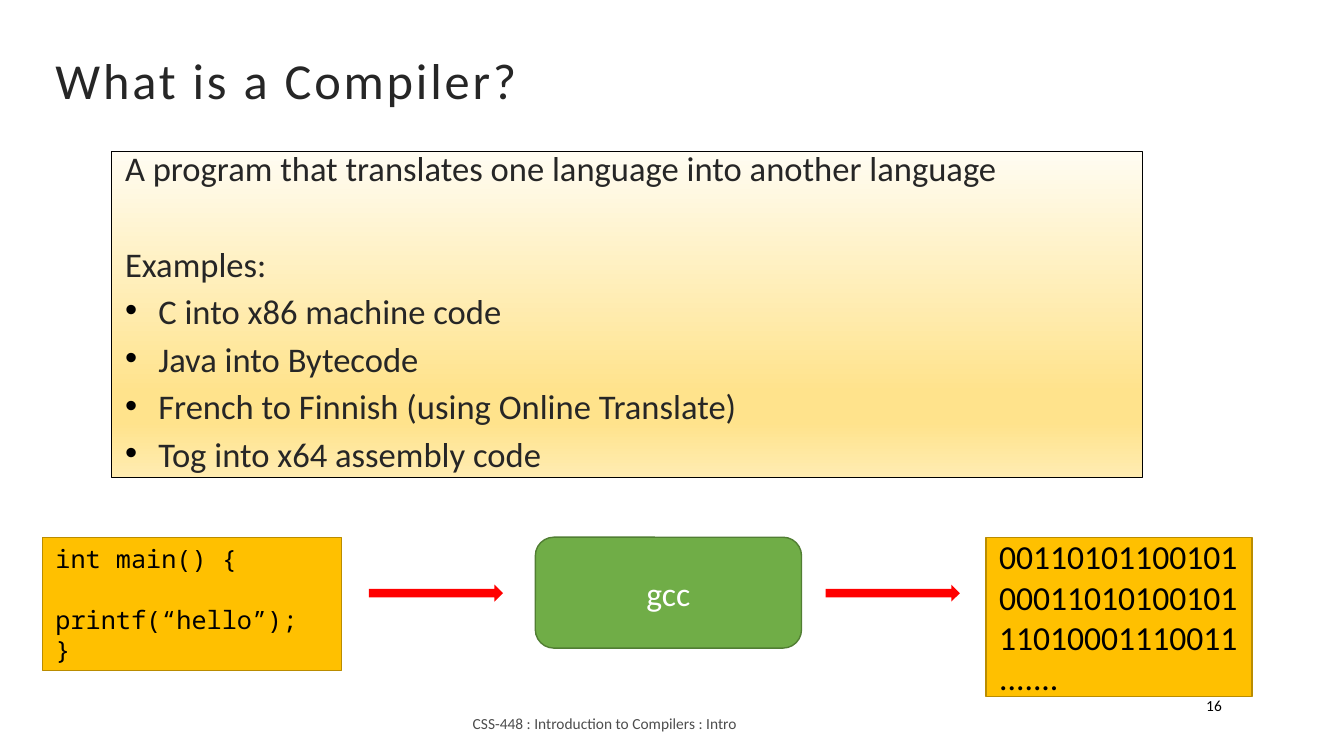
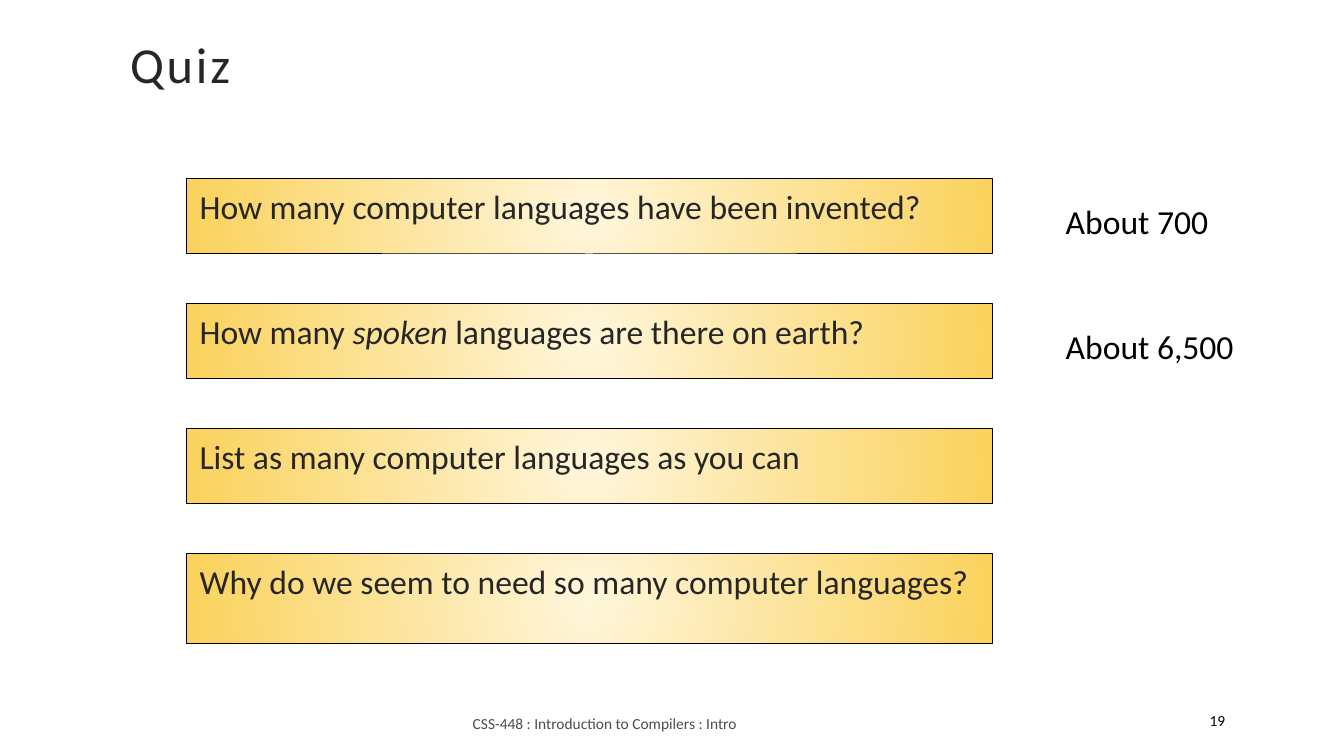
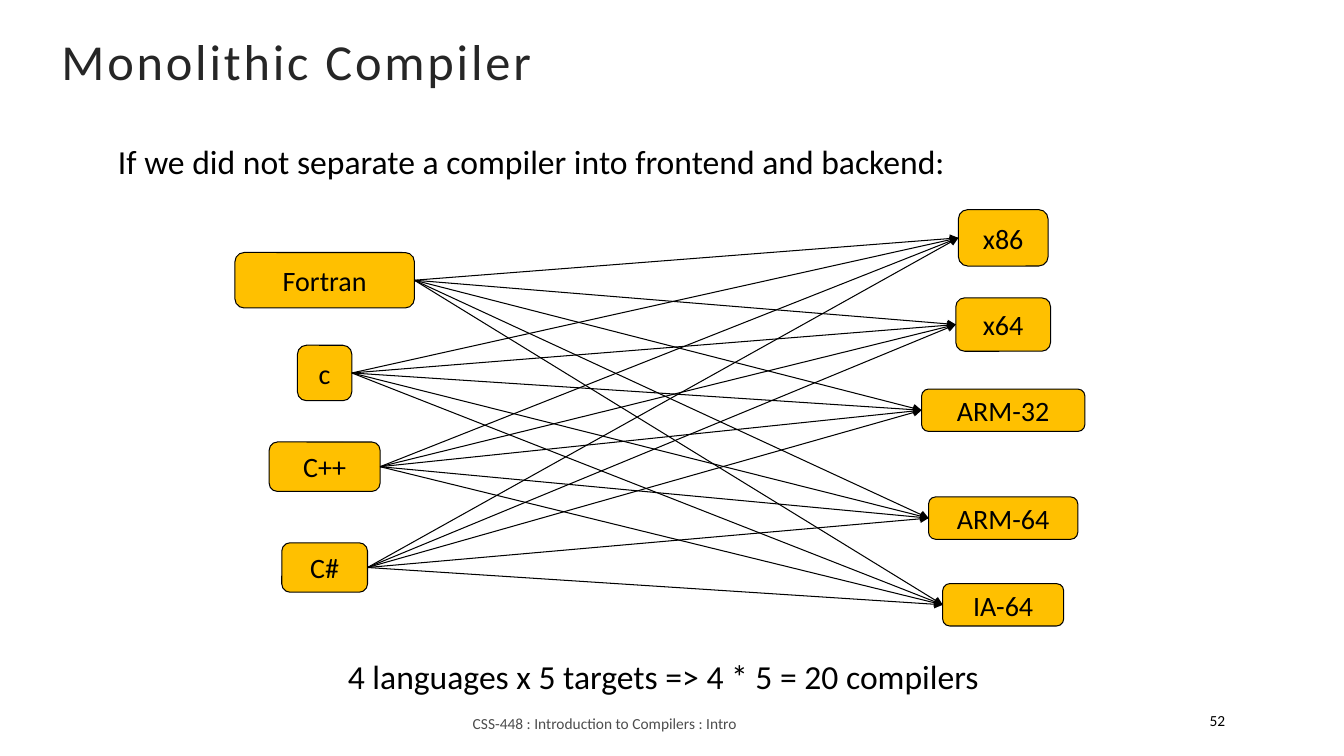
from dataclasses import dataclass
from itertools import product

from pptx import Presentation
from pptx.dml.color import RGBColor
from pptx.enum.shapes import MSO_CONNECTOR, MSO_SHAPE
from pptx.enum.text import MSO_ANCHOR, PP_ALIGN
from pptx.oxml import parse_xml
from pptx.oxml.ns import nsdecls, qn
from pptx.util import Inches, Pt


@dataclass(frozen=True)
class Theme:
    font: str = "Calibri"
    code_font: str = "Noto Sans Mono"
    black: str = "000000"
    white: str = "FFFFFF"
    ink: str = "262626"
    footer_ink: str = "4D4D4D"
    amber: str = "FFC000"
    amber_edge: str = "BA8C00"
    green: str = "70AD47"
    green_edge: str = "517E33"
    red: str = "FF0000"
    title_size: float = 36
    list_size: float = 24.7
    body_size: float = 24
    node_size: float = 20
    code_size: float = 18
    small_size: float = 11


THEME = Theme()
FOOTER = "CSS-448 : Introduction to Compilers : Intro"
INSET = (0.13, 0.07)
SUMMARY_GRADIENT = (
    ((0, "FFFCF2"), (74, "FFE38C"), (83, "FFE38C"), (100, "FFECB2")),
    '<a:lin ang="5400000" scaled="0"/>',
)
QUIZ_GRADIENT = (
    ((0, "FFF6DB"), (100, "FAD25C")),
    '<a:path path="circle"><a:fillToRect l="50000" t="50000" r="50000" b="50000"/></a:path>',
)


# Text
def add_bullet(paragraph):
    properties = paragraph._p.get_or_add_pPr()
    properties.set("marL", str(Inches(0.33)))
    properties.set("indent", str(-Inches(0.33)))
    for markup in (
        f'<a:buClr {nsdecls("a")}><a:srgbClr val="{THEME.black}"/></a:buClr>',
        f'<a:buFont {nsdecls("a")} typeface="Arial"/>',
        f'<a:buChar {nsdecls("a")} char="•"/>',
    ):
        properties.append(parse_xml(markup))


def write(shape, *paragraphs, size=THEME.body_size, color=THEME.black, font=THEME.font,
          align=PP_ALIGN.LEFT, anchor=MSO_ANCHOR.TOP, inset=INSET, line_spacing=None,
          space_before=None, bullets_from=None):
    """Each paragraph is a string or a list of (text, italic) spans."""
    frame = shape.text_frame
    frame.word_wrap = True
    frame.vertical_anchor = anchor
    frame.margin_left = frame.margin_right = Inches(inset[0])
    frame.margin_top = frame.margin_bottom = Inches(inset[1])
    for index, content in enumerate(paragraphs):
        paragraph = frame.add_paragraph() if index else frame.paragraphs[0]
        if bullets_from is not None and index >= bullets_from:
            add_bullet(paragraph)
        paragraph.alignment = align
        if line_spacing:
            paragraph.line_spacing = line_spacing
        if space_before:
            paragraph.space_before = Pt(space_before[index])
        spans = [(content, False)] if isinstance(content, str) else content
        for text, italic in spans:
            span = paragraph.add_run()
            span.text = text
            span.font.name = font
            span.font.size = Pt(size)
            span.font.italic = italic
            span.font.color.rgb = RGBColor.from_string(color)


def add_text(slide, at, *paragraphs, **text_format):
    box = slide.shapes.add_textbox(*map(Inches, at))
    write(box, *paragraphs, **text_format)


# Shapes
def add_box(slide, at, kind=MSO_SHAPE.RECTANGLE, fill=None, edge=None, edge_width=0.75):
    box = slide.shapes.add_shape(kind, *map(Inches, at))
    box.shadow.inherit = False
    if fill:
        box.fill.solid()
        box.fill.fore_color.rgb = RGBColor.from_string(fill)
    else:
        box.fill.background()
    if edge:
        box.line.color.rgb = RGBColor.from_string(edge)
        box.line.width = Pt(edge_width)
    else:
        box.line.fill.background()
    return box


def add_gradient_box(slide, at, gradient):
    box = add_box(slide, at, edge=THEME.black)
    stops, direction = gradient
    stop_markup = "".join(
        f'<a:gs pos="{position * 1000}"><a:srgbClr val="{color}"/></a:gs>'
        for position, color in stops)
    properties = box._element.spPr
    properties.replace(properties.find(qn("a:noFill")), parse_xml(
        f'<a:gradFill {nsdecls("a")} rotWithShape="1">'
        f"<a:gsLst>{stop_markup}</a:gsLst>{direction}</a:gradFill>"))
    return box


def add_node(slide, label, center, middle, width, height):
    at = (center - width / 2, middle - height / 2, width, height)
    node = add_box(slide, at, MSO_SHAPE.ROUNDED_RECTANGLE, THEME.amber, THEME.black)
    write(node, label, size=THEME.node_size, align=PP_ALIGN.CENTER, anchor=MSO_ANCHOR.MIDDLE)
    return node


def connect(slide, source, target):
    arrow = slide.shapes.add_connector(MSO_CONNECTOR.STRAIGHT, 0, 0, 0, 0)
    arrow.begin_connect(source, 3)
    arrow.end_connect(target, 1)
    arrow.line.color.rgb = RGBColor.from_string(THEME.black)
    arrow.line.width = Pt(0.75)
    properties = arrow._element.spPr
    properties.find(qn("a:ln")).append(parse_xml(f'<a:tailEnd {nsdecls("a")} type="triangle"/>'))
    properties.append(parse_xml(f'<a:effectLst {nsdecls("a")}/>'))


# Title, footer and slide number
def add_slide(deck, title, title_at, number, number_at):
    slide = deck.slides.add_slide(deck.slide_layouts.get_by_name("Title Only"))
    heading = slide.shapes.title
    heading.left, heading.top, heading.width, heading.height = map(Inches, title_at)
    write(heading, title, size=THEME.title_size, color=THEME.ink,
          anchor=MSO_ANCHOR.MIDDLE, line_spacing=0.9)
    heading.text_frame.paragraphs[0].runs[0].font._element.set("spc", "200")
    add_text(slide, (4.59, 7, 4.15, 0.35), FOOTER, size=THEME.small_size,
             color=THEME.footer_ink, anchor=MSO_ANCHOR.MIDDLE, inset=(0.1, 0.05))
    write(add_box(slide, number_at, MSO_SHAPE.OVAL), str(number),
          size=THEME.small_size, inset=(0.1, 0.05))
    return slide


# Slides
def build_definition(deck):
    slide = add_slide(deck, "What is a Compiler?", (0.42, 0.28, 11.08, 1.1),
                      16, (11.77, 6.8, 0.65, 0.4))
    summary = add_gradient_box(slide, (1.11, 1.5, 10.22, 3.24), SUMMARY_GRADIENT)
    write(summary,
          "A program that translates one language into another language",
          "Examples:",
          "C into x86 machine code",
          "Java into Bytecode",
          "French to Finnish (using Online Translate)",
          "Tog into x64 assembly code",
          size=THEME.list_size, color=THEME.ink, line_spacing=0.7,
          space_before=(0, 47.5, 13.3, 13.3, 13.3, 13.3), bullets_from=2)

    # Source code, compiler, machine code
    top = 5.33
    source = add_box(slide, (0.42, top, 2.97, 1.32), fill=THEME.amber,
                     edge=THEME.amber_edge, edge_width=1)
    write(source, "int main() {", "   printf(“hello”);", "}", size=THEME.code_size,
          font=THEME.code_font, anchor=MSO_ANCHOR.MIDDLE)
    compiler = add_box(slide, (5.31, top, 2.64, 1.1), MSO_SHAPE.ROUNDED_RECTANGLE,
                       THEME.green, THEME.green_edge, 1)
    write(compiler, "gcc", color=THEME.white, align=PP_ALIGN.CENTER, anchor=MSO_ANCHOR.MIDDLE)
    binary = add_box(slide, (9.78, top, 2.64, 1.58), fill=THEME.amber,
                     edge=THEME.amber_edge, edge_width=1)
    write(binary, "001101011001010001101010010111010001110011.......",
          anchor=MSO_ANCHOR.MIDDLE)
    for left in (3.66, 8.19):
        add_box(slide, (left, 5.8, 1.33, 0.17), MSO_SHAPE.RIGHT_ARROW, THEME.red)


def build_quiz(deck):
    slide = add_slide(deck, "Quiz", (1.16, 0.22, 10.34, 0.89), 19, (11.77, 6.95, 0.88, 0.4))
    questions = (
        ("How many computer languages have been invented?", 0.75, "About 700"),
        ([("How many ", False), ("spoken", True), (" languages are there on earth?", False)],
         0.75, "About 6,500"),
        ("List as many computer languages as you can", 0.75, None),
        ("Why do we seem to need so many computer languages?", 0.89, None),
    )
    for index, (question, height, answer) in enumerate(questions):
        top = 1.77 + 1.24 * index
        box = add_gradient_box(slide, (1.85, top, 7.99, height), QUIZ_GRADIENT)
        write(box, question, color=THEME.ink)
        if answer:
            add_text(slide, (10.44, top + 0.09, 2.19, 0.66), answer, inset=(0.13, 0.13))


def build_monolith(deck):
    slide = add_slide(deck, "Monolithic Compiler", (0.48, 0.25, 11.02, 0.77),
                      52, (11.77, 6.95, 0.88, 0.4))
    # Label, middle, width, height
    languages = (("Fortran", 2.78, 1.78, 0.55), ("c", 3.7, 0.54, 0.55),
                 ("C++", 4.63, 1.1, 0.49), ("C#", 5.63, 0.85, 0.49))
    targets = (("x86", 2.36, 0.89, 0.56), ("x64", 3.22, 0.94, 0.53),
               ("ARM-32", 4.07, 1.62, 0.42), ("ARM-64", 5.14, 1.48, 0.42),
               ("IA-64", 6, 1.2, 0.42))
    sources = [add_node(slide, label, 3.22, *size) for label, *size in languages]
    outputs = [add_node(slide, label, 9.95, *size) for label, *size in targets]
    for source, output in product(sources, outputs):
        connect(slide, source, output)
    add_text(slide, (3.32, 6.44, 7.68, 0.4), "4 languages x 5 targets => 4 * 5 = 20 compilers")
    add_text(slide, (1.04, 1.27, 10.85, 0.53),
             "If we did not separate a compiler into frontend and backend:", inset=(0.13, 0.13))


def main():
    deck = Presentation()
    deck.slide_width, deck.slide_height = Inches(13.33), Inches(7.5)
    build_definition(deck)
    build_quiz(deck)
    build_monolith(deck)
    deck.save("out.pptx")


if __name__ == "__main__":
    main()
